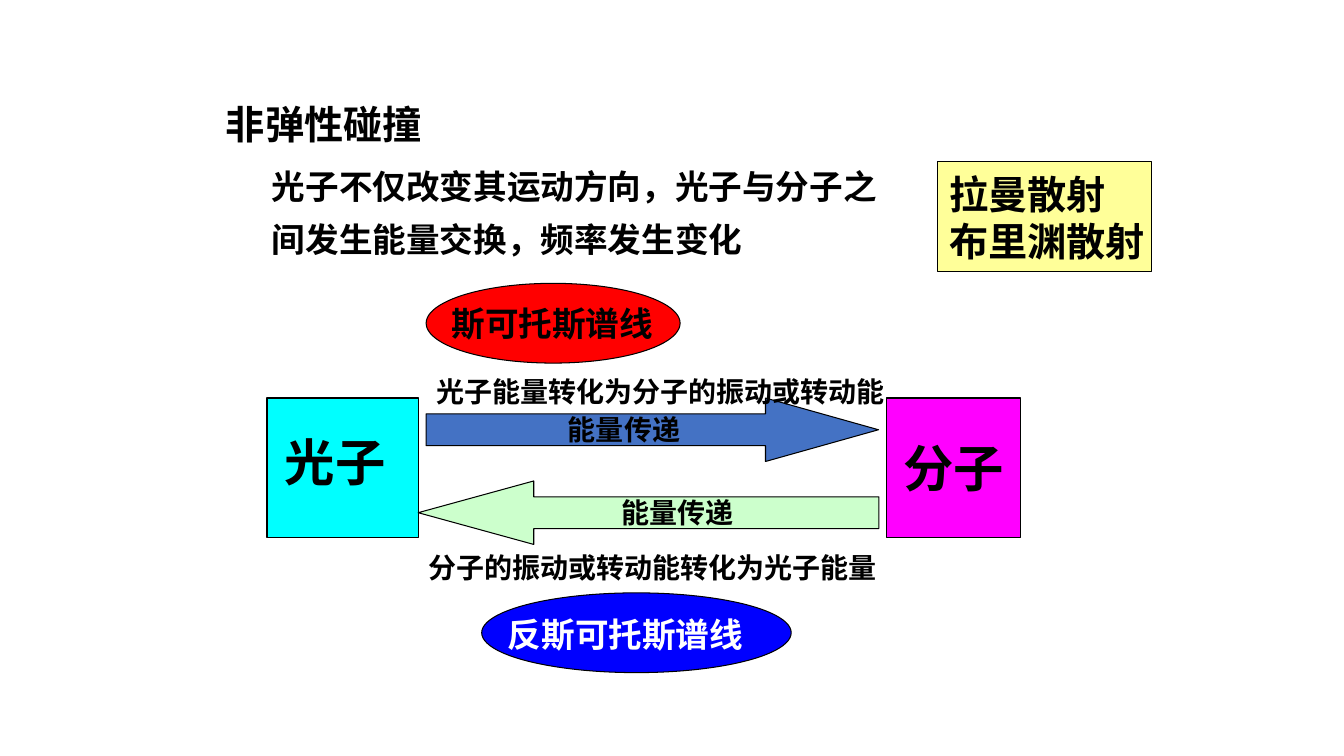
from pptx import Presentation
from pptx.dml.color import RGBColor
from pptx.enum.shapes import MSO_SHAPE as Kind
from pptx.enum.text import MSO_ANCHOR as Anchor, MSO_AUTO_SIZE as Fit, PP_ALIGN as Align
from pptx.util import Cm, Pt
from lxml.etree import SubElement
from pptx.oxml.ns import qn

BLACK, WHITE = "000000", "FFFFFF"

# Boxes are left, top, width, height in centimetres
TITLE = ((5.44, 2.39, 5.46, 1.45), ["非弹性碰撞"], 28)
BODY = ((6.6, 3.76, 15.82, 2.9),
        ["光子不仅改变其运动方向，光子与分子之", "间发生能量交换，频率发生变化"], 24)

# kind, box, fill, centred text, size, arrow head length
SHAPES = [
    (Kind.RECTANGLE, (23.62, 4.06, 5.41, 2.79), "FFFF99", None, 0, None),
    (Kind.OVAL, (10.74, 7.14, 6.4, 2.01), "FF0000", None, 0, None),
    (Kind.RECTANGLE, (6.73, 10.03, 3.81, 3.51), "00FFFF", None, 0, None),
    (Kind.RECTANGLE, (22.33, 10.03, 3.4, 3.51), "FF00FF", "分子", 36, None),
    (Kind.RIGHT_ARROW, (10.74, 10.03, 11.4, 1.6), "4472C4", "能量传递", 20, 1.78),
    (Kind.LEFT_ARROW, (10.54, 12.12, 11.61, 1.6), "CCFFCC", "能量传递", 20, 1.82),
    (Kind.OVAL, (12.14, 14.94, 7.8, 2.01), "0000FF", None, 0, None),
]

# box, lines, size, colour
LABELS = [
    ((23.67, 4.17, 5.46, 2.62), ["拉曼散射", "布里渊散射"], 28, BLACK),
    ((6.93, 10.74, 3.05, 1.78), ["光子"], 36, BLACK),
    ((10.74, 9.32, 11.86, 1.09), ["光子能量转化为分子的振动或转动能"], 20, BLACK),
    ((10.54, 13.74, 11.86, 1.09), ["分子的振动或转动能转化为光子能量"], 20, BLACK),
    ((11.13, 7.52, 5.61, 1.27), ["斯可托斯谱线"], 24, BLACK),
    ((12.55, 15.34, 6.48, 1.27), ["反斯可托斯谱线"], 24, WHITE),
]


def paint(target, color):
    """Give a font, or a fill already made solid, its colour."""
    target.color.rgb = RGBColor.from_string(color)


def place(box):
    return [Cm(n) for n in box]


def write(shape, lines, size, color=BLACK, align=Align.LEFT, anchor=Anchor.TOP,
          fit=Fit.SHAPE_TO_FIT_TEXT, space=1.0):
    frame = shape.text_frame
    frame.word_wrap = False
    frame.auto_size = fit
    frame.vertical_anchor = anchor
    for i, line in enumerate(lines):
        para = frame.add_paragraph() if i else frame.paragraphs[0]
        para.alignment = align
        para.line_spacing = space
        para.space_before = Pt(0)
        run = para.add_run()
        run.text = line
        font = run.font
        font.name, font.size, font.bold = "Arial", Pt(size), True
        paint(font, color)


def fill_holder(holder, box, lines, size, space=1.0):
    holder.left, holder.top, holder.width, holder.height = place(box)
    write(holder, lines, size, space=space)


def draw(slide, kind, box, fill, text, size, head):
    shape = slide.shapes.add_shape(kind, *place(box))
    shape.shadow.inherit = False
    shape.fill.solid()
    shape.fill.fore_color.rgb = RGBColor.from_string(fill)
    paint(shape.line, BLACK)
    shape.line.width = Pt(0.75)
    if head:
        shape.adjustments[1] = head
    if text:
        write(shape, [text], size, align=Align.CENTER, anchor=Anchor.MIDDLE, fit=Fit.NONE)


def main():
    deck = Presentation()
    deck.slide_width, deck.slide_height = Cm(33.87), Cm(19.05)
    slide = deck.slides.add_slide(deck.slide_layouts[1])

    fill_holder(slide.shapes.title, *TITLE)
    body = slide.placeholders[1]
    fill_holder(body, *BODY, space=1.3)
    for para in body.text_frame.paragraphs:
        props = para._p.get_or_add_pPr()
        props.set("marL", "0")
        props.set("indent", "0")
        SubElement(props, qn("a:buNone"))

    for item in SHAPES:
        draw(slide, *item)
    for box, lines, size, color in LABELS:
        write(slide.shapes.add_textbox(*place(box)), lines, size, color)

    deck.save("out.pptx")


if __name__ == "__main__":
    main()
